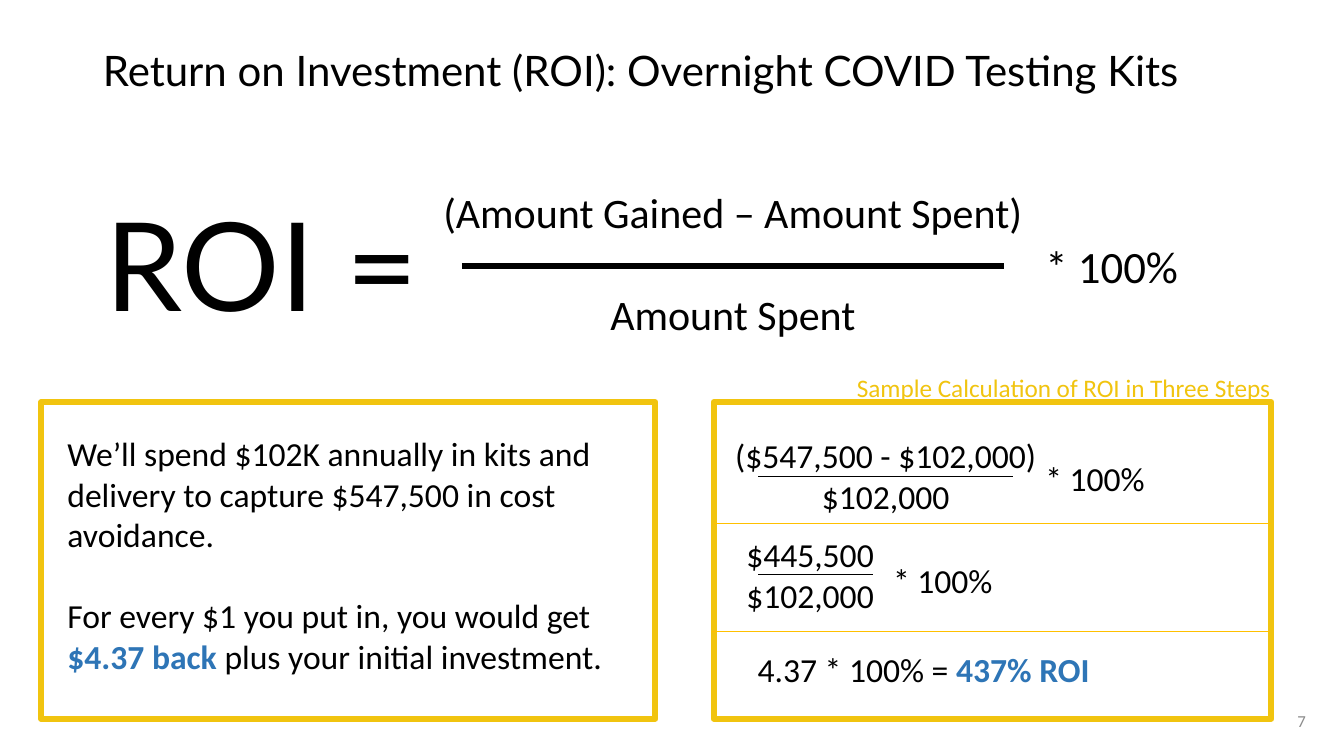
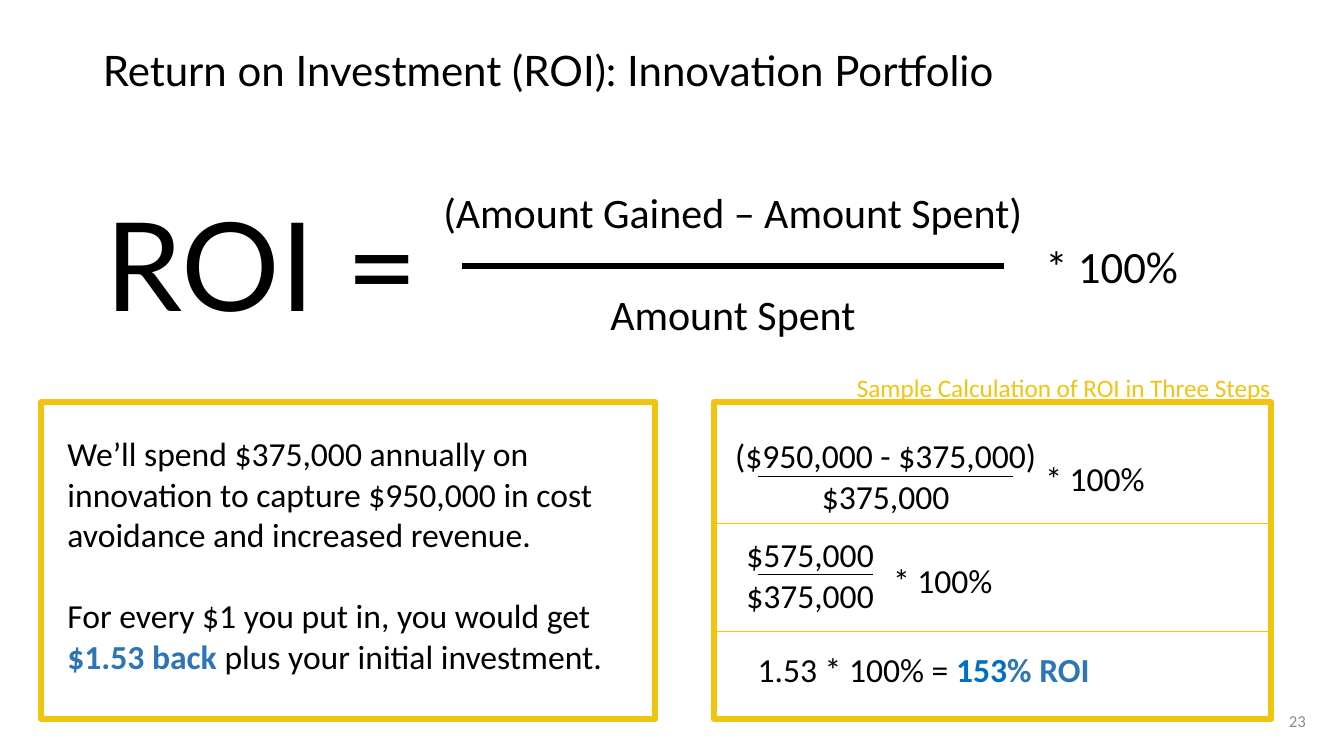
"""Build two return-on-investment slides that share one formula layout."""
from lxml import etree
from pptx import Presentation
from pptx.dml.color import RGBColor
from pptx.enum.shapes import MSO_CONNECTOR, MSO_SHAPE
from pptx.enum.text import MSO_ANCHOR, MSO_AUTO_SIZE, PP_ALIGN
from pptx.oxml.ns import qn
from pptx.util import Inches, Pt

LEFT, CENTER, RIGHT = PP_ALIGN.LEFT, PP_ALIGN.CENTER, PP_ALIGN.RIGHT
MIDDLE = MSO_ANCHOR.MIDDLE
FIT, NO_FIT = MSO_AUTO_SIZE.SHAPE_TO_FIT_TEXT, MSO_AUTO_SIZE.NONE
STRAIGHT, RECTANGLE = MSO_CONNECTOR.STRAIGHT, MSO_SHAPE.RECTANGLE

BLACK = RGBColor(0x00, 0x00, 0x00)
GOLD = RGBColor(0xF1, 0xC4, 0x0F)
DIVIDER = RGBColor(0xFF, 0xC0, 0x00)
BLUE = RGBColor(0x2E, 0x75, 0xB6)
BRIGHT_BLUE = RGBColor(0x00, 0x70, 0xC0)
GRAY = RGBColor(0x8C, 0x8C, 0x8C)
BODY_FONT, TITLE_FONT = "Calibri", "Lato"
BODY_SIZE, FORMULA_SIZE = 24, 30

PANEL_TOP, PANEL_HEIGHT = 3.99, 3.14
PANELS = [(0.41, 6.09), (7.08, 5.53)]
DIVIDERS = [(7.08, 5.19), (7.06, 6.26)]
TIMES = "* 100%"

SLIDES = [
    {
        "title": "Return on Investment (ROI): Overnight COVID Testing Kits",
        "summary": "We’ll spend $102K annually in kits and delivery to capture "
                   "$547,500 in cost avoidance.",
        "back": "$4.37 back ",
        "gained": "$547,500", "spent": "$102,000", "net": "$445,500",
        "ratio": "4.37",
        "result": [("437% ROI", BLUE)],
        "number": "7",
    },
    {
        "title": "Return on Investment (ROI): Innovation Portfolio",
        "summary": "We’ll spend $375,000 annually on innovation to capture "
                   "$950,000 in cost avoidance and increased revenue.",
        "back": "$1.53 back ",
        "gained": "$950,000", "spent": "$375,000", "net": "$575,000",
        "ratio": "1.53",
        "result": [("153", BRIGHT_BLUE), ("% ROI", BLUE)],
        "number": "23",
    },
]


def add_text(slide, box, paragraphs, size=BODY_SIZE, color=BLACK, font=BODY_FONT,
             align=LEFT, wrap=False, gaps=None):
    """Add text; each paragraph is a string or a list of (text, bold colour or None)."""
    shape = slide.shapes.add_textbox(*map(Inches, box))
    frame = shape.text_frame
    frame.word_wrap = wrap
    frame.auto_size = FIT
    for index, content in enumerate(paragraphs):
        paragraph = frame.paragraphs[0] if index == 0 else frame.add_paragraph()
        paragraph.alignment = align
        if gaps and index in gaps:
            paragraph.space_before = Pt(gaps[index])
        pieces = [(content, None)] if isinstance(content, str) else content
        for text, accent in pieces:
            run = paragraph.add_run()
            run.text = text
            run.font.name = font
            run.font.size = Pt(size)
            run.font.bold = accent is not None
            run.font.color.rgb = accent or color
    return shape


def add_rule(slide, left, top, width, color=BLACK, weight=0.5):
    """Add a horizontal line without a shadow."""
    line = slide.shapes.add_connector(
        STRAIGHT, Inches(left), Inches(top), Inches(left + width), Inches(top))
    line.line.color.rgb = color
    line.line.width = Pt(weight)
    etree.SubElement(line._element.spPr, qn("a:effectLst"))


def add_title(slide, text):
    """Place and format the title placeholder."""
    title = slide.shapes.title
    title.left, title.top, title.width, title.height = map(Inches, (0.92, 0, 11.5, 1.45))
    frame = title.text_frame
    frame.text = text
    frame.auto_size = NO_FIT
    frame.vertical_anchor = MIDDLE
    paragraph = frame.paragraphs[0]
    paragraph.alignment = LEFT
    paragraph.line_spacing = 0.9
    font = paragraph.runs[0].font
    font.name, font.size, font.color.rgb = TITLE_FONT, Pt(30), BLACK


def add_formula(slide):
    """Add the general formula in the upper half."""
    add_text(slide, (4.27, 1.8, 6, 1.62),
             ["(Amount Gained – Amount Spent)", "Amount Spent"],
             size=FORMULA_SIZE, align=CENTER, gaps={1: 36.6})
    add_text(slide, (0.95, 1.82, 3.62, 1.58), ["ROI ="], size=88, font=TITLE_FONT)
    add_rule(slide, 4.58, 2.64, 5.38, weight=4.5)
    add_text(slide, (10.27, 2.32, 1.53, 0.64), [TIMES], size=32)


def add_panels(slide):
    """Add the two gold frames, the step dividers and the caption."""
    for left, width in PANELS:
        panel = slide.shapes.add_shape(
            RECTANGLE, *map(Inches, (left, PANEL_TOP, width, PANEL_HEIGHT)))
        panel.shadow.inherit = False
        panel.fill.background()
        panel.line.color.rgb = GOLD
        panel.line.width = Pt(4.5)
    for left, top in DIVIDERS:
        add_rule(slide, left, top, PANELS[1][1], DIVIDER)
    add_text(slide, (8.4, 3.64, 4.36, 0.4),
             ["Sample Calculation of ROI in Three Steps"], size=18, color=GOLD)


def add_steps(slide, content):
    """Add the worked calculation in three steps."""
    spent = content["spent"]
    steps = [
        (f"({content['gained']} - {spent})", (7.18, 4.27, 3.21, 0.91),
         (7.52, 4.73, 2.53), (10.27, 4.49)),
        (content["net"], (7.28, 5.25, 1.51, 0.91), (7.52, 5.7, 1.14), (8.76, 5.51)),
    ]
    for numerator, box, rule, times_at in steps:
        add_text(slide, box, [numerator, spent], align=CENTER)
        add_rule(slide, *rule)
        add_text(slide, (*times_at, 1.2, 0.5), [TIMES])
    add_text(slide, (7.4, 6.39, 3.52, 0.5),
             [[(f"{content['ratio']} {TIMES} = ", None), *content["result"]]],
             align=CENTER)


def build_slide(presentation, content):
    """Add one complete slide."""
    slide = presentation.slides.add_slide(presentation.slide_layouts[5])
    add_title(slide, content["title"])
    add_formula(slide)
    add_panels(slide)
    add_text(slide, (0.57, 4.25, 5.65, 2.52),
             [content["summary"], "For every $1 you put in, you would get",
              [(content["back"], BLUE), ("plus your initial investment.", None)]],
             wrap=True, gaps={1: 29.3})
    add_steps(slide, content)
    number = add_text(slide, (10.05, 6.95, 3, 0.4), [content["number"]],
                      size=12, color=GRAY, align=RIGHT, wrap=True)
    number.text_frame.auto_size = NO_FIT
    number.text_frame.vertical_anchor = MIDDLE


def main():
    """Build and save the presentation."""
    presentation = Presentation()
    presentation.slide_width = Inches(13.33)
    presentation.slide_height = Inches(7.5)
    for content in SLIDES:
        build_slide(presentation, content)
    presentation.save("out.pptx")


if __name__ == "__main__":
    main()
